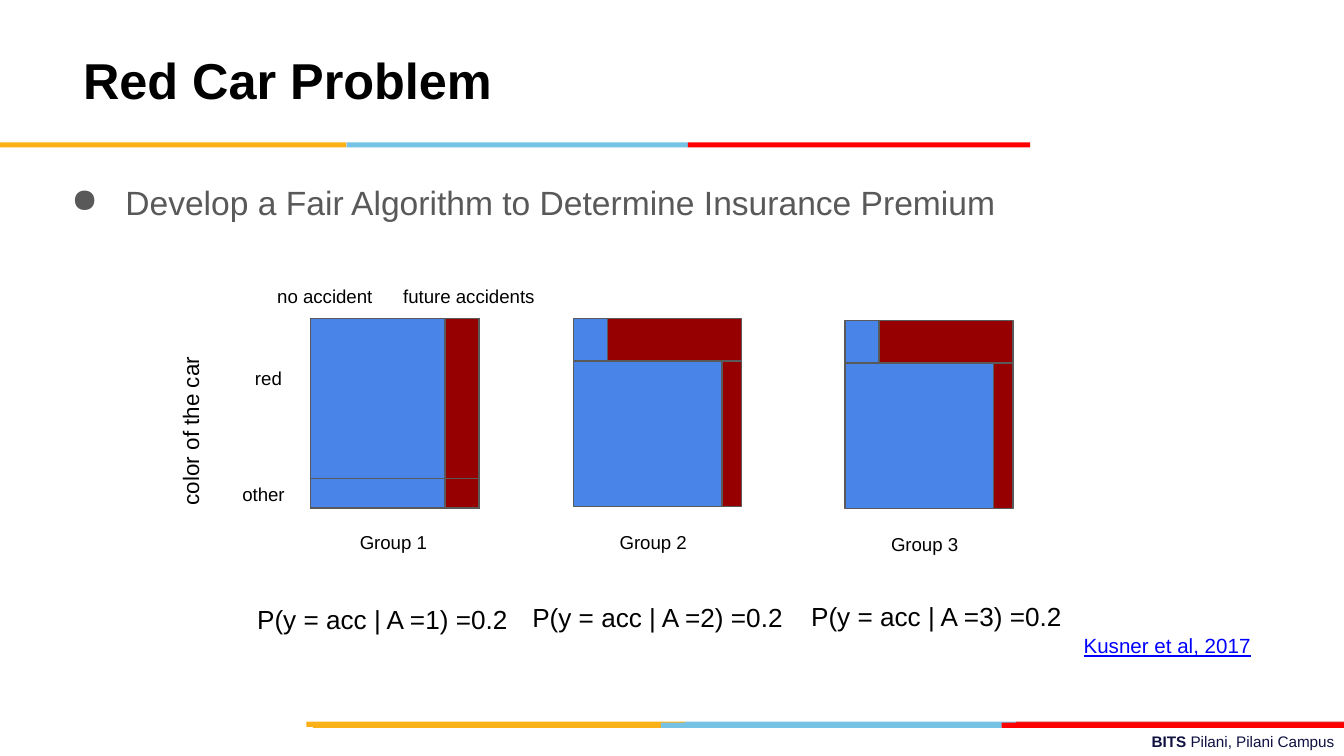
from itertools import pairwise

from lxml.etree import SubElement
from pptx import Presentation
from pptx.dml.color import RGBColor
from pptx.enum.shapes import MSO_SHAPE as SHAPE
from pptx.enum.text import MSO_ANCHOR as ANCHOR, PP_ALIGN as ALIGN
from pptx.oxml import parse_xml
from pptx.oxml.ns import nsdecls, qn
from pptx.util import Cm, Pt

FONT = "Arial"
BLACK = RGBColor(0x00, 0x00, 0x00)
GREY = RGBColor(0x59, 0x59, 0x59)
NAVY = RGBColor(0x10, 0x11, 0x41)
LINK = RGBColor(0x00, 0x00, 0xFF)
GOLD = RGBColor(0xFC, 0xB0, 0x17)
SKY = RGBColor(0x76, 0xC2, 0xE5)
CRIMSON = RGBColor(0xE3, 0x1C, 0x24)
RED = RGBColor(0xFF, 0x00, 0x00)
BLUE = RGBColor(0x49, 0x85, 0xE8)
DARK_RED = RGBColor(0x97, 0x00, 0x00)

# All lengths are in centimetres.
WIDTH, HEIGHT = 25.4, 14.29
STRIP_H = 0.1
STRIPS = [  # top, edges from left to right, colours
    (13.64, (5.79, 12.95, 19.2, WIDTH), (GOLD, SKY, CRIMSON)),
    (13.66, (5.92, 12.49, 18.93, WIDTH), (GOLD, SKY, RED)),
    (2.69, (0, 6.55, 13, 19.47), (GOLD, SKY, RED)),
]

TITLE = "Red Car Problem"
TASK = "Develop a Fair Algorithm to Determine Insurance Premium"
FOOTER = [("BITS ", True), ("Pilani, Pilani Campus", False)]
AXIS = "color of the car"

LABELS = [  # text, left, top, width
    ("no accident", 5.24, 5.39, 1.9),
    ("future accidents", 7.62, 5.39, 2.55),
    ("red", 4.82, 6.94, 0.6),
    ("other", 4.58, 9.12, 0.85),
]
GROUPS = [  # name left, name top, formula left, formula top
    (6.8, 10.04, 4.86, 11.41),
    (11.71, 10.04, 10.06, 11.37),
    (16.84, 10.07, 15.33, 11.34),
]

# Group 1: red and other cars share the same column split.
TABLE_AT = (5.87, 6.02)
TABLE_COLS = (2.54, 0.64)
TABLE_ROWS = (3.02, 0.56)

# Groups 2 and 3: rows differ in their split.
MOSAICS = [(10.84, 6.02), (15.97, 6.06)]
MOSAIC_W = 3.18
MOSAIC_ROWS = [(0, 0.8, 0.64), (0.81, 2.74, 2.81)]  # offset, height, blue width


def add_box(slide, x, y, w, h, fill, line=None):
    sp = slide.shapes.add_shape(SHAPE.RECTANGLE, Cm(x), Cm(y), Cm(w), Cm(h))
    sp.shadow.inherit = False
    sp.fill.solid()
    sp.fill.fore_color.rgb = fill
    if line is None:
        sp.line.fill.background()
    else:
        sp.line.color.rgb = line
        sp.line.width = Pt(0.75)


def add_text(slide, text, x, y, w, h, size, color=BLACK, wrap=False):
    """Add a text box without insets; return its frame and paragraph."""
    tf = slide.shapes.add_textbox(Cm(x), Cm(y), Cm(w), Cm(h)).text_frame
    tf.margin_left = tf.margin_right = tf.margin_top = tf.margin_bottom = 0
    tf.word_wrap = wrap
    p = tf.paragraphs[0]
    p.text = text
    style(p, size, color)
    return tf, p


def style(p, size, color):
    p.font.name = FONT
    p.font.size = Pt(size)
    p.font.color.rgb = color


def set_borders(cell, widths):
    """Draw the left, right, top and bottom borders of a cell."""
    tc_pr = cell._tc.get_or_add_tcPr()
    for i, (side, width) in enumerate(zip("LRTB", widths)):
        tc_pr.insert(i, parse_xml(
            f'<a:ln{side} {nsdecls("a")} w="{Pt(width)}"><a:solidFill>'
            f'<a:srgbClr val="{GREY}"/></a:solidFill></a:ln{side}>'))


def add_strips(slide):
    for top, edges, colors in STRIPS:
        for (left, right), color in zip(pairwise(edges), colors):
            add_box(slide, left, top, right - left, STRIP_H, color)


def add_group_table(slide):
    x, y = TABLE_AT
    table = slide.shapes.add_table(
        len(TABLE_ROWS), len(TABLE_COLS), Cm(x), Cm(y),
        Cm(sum(TABLE_COLS)), Cm(sum(TABLE_ROWS))).table
    table.first_row = table.horz_banding = False
    for column, w in zip(table.columns, TABLE_COLS):
        column.width = Cm(w)
    for i, h in enumerate(TABLE_ROWS):
        table.rows[i].height = Cm(h)
        for j, color in enumerate((BLUE, DARK_RED)):
            cell = table.cell(i, j)
            cell.margin_left = cell.margin_right = 0
            cell.margin_top = cell.margin_bottom = 0
            cell.fill.solid()
            cell.fill.fore_color.rgb = color
            set_borders(cell, (1, 1 + i * j / 2, 0.75, 0.75 + i * 0.75))
            p = cell.text_frame.paragraphs[0]
            SubElement(p._p, qn("a:endParaRPr")).set("sz", "800")


def add_mosaics(slide):
    for x, y in MOSAICS:
        for offset, h, split in MOSAIC_ROWS:
            add_box(slide, x, y + offset, split, h, BLUE, GREY)
            add_box(slide, x + split, y + offset, MOSAIC_W - split, h,
                    DARK_RED, GREY)


def add_task(slide):
    _, p = add_text(slide, TASK, 1.32, 3.44, 17.5, 0.78, 18, GREY)
    p_pr = p._p.get_or_add_pPr()
    p_pr.set("marL", str(Cm(1.05)))
    p_pr.set("indent", str(-Cm(1.02)))
    bullet = parse_xml(f'<a:buChar {nsdecls("a")} char="●"/>')
    p_pr.insert(0, bullet)


def add_footer(slide):
    tf, p = add_text(slide, "", 9.09, 13.84, 16.13, 0.36, 8.2, NAVY, wrap=True)
    p.alignment = ALIGN.RIGHT
    for text, bold in FOOTER:
        r = p.add_run()
        r.text = text
        r.font.bold = bold


def main():
    prs = Presentation()
    prs.slide_width, prs.slide_height = Cm(WIDTH), Cm(HEIGHT)
    slide = prs.slides.add_slide(prs.slide_layouts[6])

    add_footer(slide)
    add_strips(slide)
    tf, p = add_text(slide, TITLE, 1.57, 0.3, 16.6, 2.39, 27)
    tf.vertical_anchor = ANCHOR.MIDDLE
    p.font.bold = True
    add_task(slide)

    add_mosaics(slide)
    add_group_table(slide)
    for text, x, y, w in LABELS:
        add_text(slide, text, x, y, w, 0.42, 10)
    for n, (x, y, formula_x, formula_y) in enumerate(GROUPS, start=1):
        add_text(slide, f"Group {n}", x, y, 1.35, 0.42, 10)
        add_text(slide, f"P(y = acc | A ={n}) =0.2",
                 formula_x, formula_y, 4.78, 0.6, 14)

    tf, p = add_text(slide, AXIS, 3.35, 6.68, 0.53, 2.87, 12, wrap=True)
    tf._txBody.bodyPr.set("vert", "vert270")
    p.line_spacing = Pt(14.2)

    _, p = add_text(slide, "Kusner et al, 2017", 20.48, 11.97, 3.23, 0.47,
                    11, LINK)
    p.font.underline = True
    prs.save("out.pptx")


if __name__ == "__main__":
    main()
